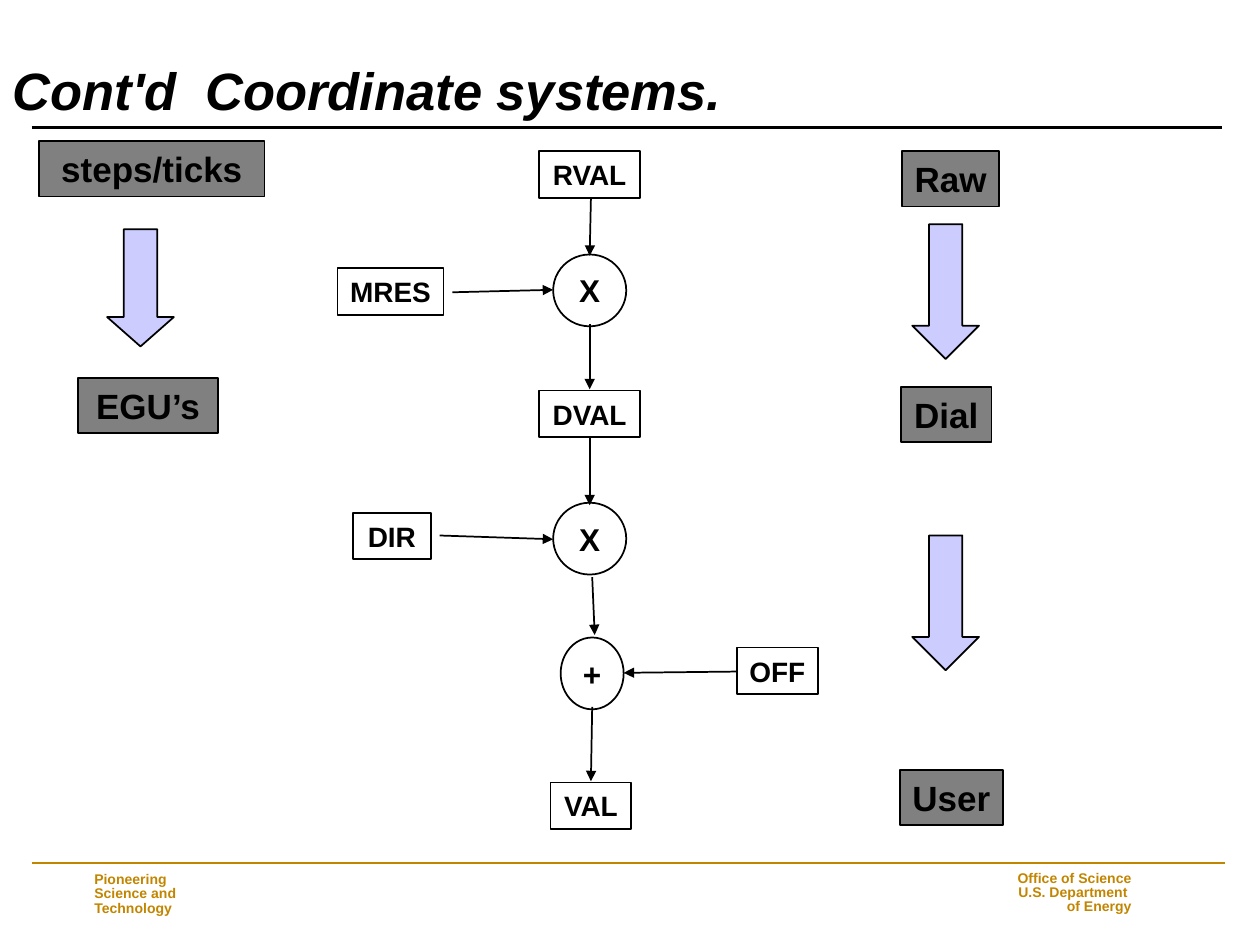
from dataclasses import dataclass

from lxml.etree import SubElement
from pptx import Presentation
from pptx.dml.color import RGBColor
from pptx.enum.shapes import MSO_CONNECTOR, MSO_SHAPE
from pptx.enum.text import MSO_ANCHOR, MSO_AUTO_SIZE, PP_ALIGN
from pptx.oxml.ns import qn
from pptx.util import Inches, Pt

# The slide is a grid of 100 columns by 75 rows
COLUMNS, ROWS = 100, 75
WIDTH, HEIGHT = Inches(10), Inches(7.5)


@dataclass(frozen=True)
class Theme:
    font: str = "Arial"
    ink: RGBColor = RGBColor(0, 0, 0)
    gold: RGBColor = RGBColor(0xC2, 0x85, 0x00)
    grey: RGBColor = RGBColor(0x80, 0x80, 0x80)
    lilac: RGBColor = RGBColor(0xCC, 0xCC, 0xFF)
    title: float = 30
    system: float = 20
    operator: float = 18
    field: float = 16
    footer: float = 8


@dataclass(frozen=True)
class Box:
    col: float
    row: float
    cols: float
    rows: float

    def emu(self) -> tuple[int, int, int, int]:
        return across(self.col), down(self.row), across(self.cols), down(self.rows)


@dataclass(frozen=True)
class Node:
    text: str
    box: Box


@dataclass(frozen=True)
class Link:
    start: tuple[float, float]
    end: tuple[float, float]


@dataclass(frozen=True)
class NodeStyle:
    preset: MSO_SHAPE
    size: float
    anchor: MSO_ANCHOR
    fill: RGBColor | None = None


THEME = Theme()
FIELD = NodeStyle(MSO_SHAPE.RECTANGLE, THEME.field, MSO_ANCHOR.MIDDLE)
OPERATOR = NodeStyle(MSO_SHAPE.OVAL, THEME.operator, MSO_ANCHOR.MIDDLE)
SYSTEM = NodeStyle(MSO_SHAPE.RECTANGLE, THEME.system, MSO_ANCHOR.TOP, THEME.grey)
FIELD_ROWS, OPERATOR_ROWS, SYSTEM_ROWS = 3.7, 5.7, 4.4

FIELDS = [
    Node("RVAL", Box(42.8, 12, 8, FIELD_ROWS)),
    Node("MRES", Box(26.8, 21.3, 8.4, FIELD_ROWS)),
    Node("DIR", Box(28, 40.7, 6.2, FIELD_ROWS)),
    Node("OFF", Box(58.5, 51.4, 6.4, FIELD_ROWS)),
    Node("DVAL", Box(42.8, 31, 8, FIELD_ROWS)),
    Node("VAL", Box(43.7, 62.1, 6.4, FIELD_ROWS)),
]
OPERATORS = [
    Node("X", Box(43.9, 20.2, 5.8, OPERATOR_ROWS)),
    Node("X", Box(43.9, 39.9, 5.8, OPERATOR_ROWS)),
    Node("+", Box(44.5, 50.6, 5, OPERATOR_ROWS)),
]
SYSTEMS = [
    Node("Raw", Box(71.6, 12, 7.7, SYSTEM_ROWS)),
    Node("Dial", Box(71.5, 30.7, 7.2, SYSTEM_ROWS)),
    Node("User", Box(71.4, 61.1, 8.2, SYSTEM_ROWS)),
    Node("EGU’s", Box(6.2, 30, 11.1, SYSTEM_ROWS)),
    Node("steps/ticks", Box(3.1, 11.2, 17.9, SYSTEM_ROWS)),
]
LINKS = [
    Link((46.9, 15.8), (46.8, 20.3)),
    Link((35.9, 23.2), (43.9, 23)),
    Link((46.8, 25.7), (46.8, 30.9)),
    Link((46.8, 34.8), (46.8, 40.1)),
    Link((34.9, 42.5), (43.9, 42.8)),
    Link((47, 45.8), (47.2, 50.4)),
    Link((58.4, 53.3), (49.5, 53.4)),
    Link((47, 56.1), (46.9, 62)),
]
# Boxes before the quarter turn, each with its head length
BLOCK_ARROWS = [
    (Box(69.7, 20.5, 10.7, 5.3), 0.5),
    (Box(69.7, 45.2, 10.7, 5.3), 0.5),
    (Box(6.5, 20.2, 9.3, 5.3), 0.44),
]


def across(cols: float) -> int:
    return round(WIDTH * cols / COLUMNS)


def down(rows: float) -> int:
    return round(HEIGHT * rows / ROWS)


def set_frame(frame, anchor: MSO_ANCHOR, wrap: bool, top: float = 0.05) -> None:
    frame.auto_size = MSO_AUTO_SIZE.NONE
    frame.word_wrap = wrap
    frame.vertical_anchor = anchor
    frame.margin_left = frame.margin_right = Inches(0.1)
    frame.margin_top, frame.margin_bottom = Inches(top), Inches(0.05)


def add_run(paragraph, text: str, size: float, color: RGBColor, italic: bool = False) -> None:
    run = paragraph.add_run()
    run.text = text
    font = run.font
    font.name, font.size, font.bold, font.italic = THEME.font, Pt(size), True, italic
    font.color.rgb = color


def add_outlined(slide, preset: MSO_SHAPE, box: Box, fill: RGBColor | None):
    shape = slide.shapes.add_shape(preset, *box.emu())
    shape.shadow.inherit = False
    if fill is None:
        shape.fill.background()
    else:
        shape.fill.solid()
        shape.fill.fore_color.rgb = fill
    shape.line.color.rgb, shape.line.width = THEME.ink, Pt(1)
    return shape


def add_node(slide, node: Node, style: NodeStyle) -> None:
    frame = add_outlined(slide, style.preset, node.box, style.fill).text_frame
    set_frame(frame, style.anchor, wrap=False)
    label = frame.paragraphs[0]
    label.alignment = PP_ALIGN.CENTER
    label.space_before = Pt(style.size * 0.625)
    add_run(label, node.text, style.size, THEME.ink)


def add_line(slide, link: Link, color: RGBColor, width: float, arrow: bool = False) -> None:
    (col1, row1), (col2, row2) = link.start, link.end
    line = slide.shapes.add_connector(
        MSO_CONNECTOR.STRAIGHT, across(col1), down(row1), across(col2), down(row2))
    line.line.color.rgb, line.line.width = color, Pt(width)
    if arrow:
        SubElement(line.line._get_or_add_ln(), qn("a:tailEnd"), type="triangle")
    SubElement(line._element.spPr, qn("a:effectLst"))


def add_block_arrow(slide, box: Box, head: float) -> None:
    arrow = add_outlined(slide, MSO_SHAPE.RIGHT_ARROW, box, THEME.lilac)
    arrow.adjustments[0], arrow.adjustments[1] = 0.5, head
    arrow.rotation = 90


def add_footer(slide, box: Box, lines: list[str], align: PP_ALIGN) -> None:
    frame = slide.shapes.add_textbox(*box.emu()).text_frame
    set_frame(frame, MSO_ANCHOR.MIDDLE, wrap=True)
    for index, text in enumerate(lines):
        paragraph = frame.add_paragraph() if index else frame.paragraphs[0]
        paragraph.alignment, paragraph.line_spacing = align, 0.85
        add_run(paragraph, text, THEME.footer, THEME.gold)


def add_title(slide, text: str, box: Box) -> None:
    title = slide.shapes.title
    title.left, title.top, title.width, title.height = box.emu()
    set_frame(title.text_frame, MSO_ANCHOR.BOTTOM, wrap=True, top=0)
    heading = title.text_frame.paragraphs[0]
    heading.alignment, heading.line_spacing = PP_ALIGN.LEFT, 0.9
    add_run(heading, text, THEME.title, THEME.ink, italic=True)


def main() -> None:
    deck = Presentation()
    deck.slide_width, deck.slide_height = WIDTH, HEIGHT
    slide = deck.slides.add_slide(deck.slide_layouts[5])

    # Title, rules and footers
    add_title(slide, "Cont'd  Coordinate systems.", Box(0, 5.2, 95.8, 5))
    add_line(slide, Link((2.5, 10.1), (97, 10.1)), THEME.ink, 1.5)
    add_line(slide, Link((2.5, 68.5), (97.2, 68.5)), THEME.gold, 1)
    add_footer(slide, Box(6.5, 68.8, 14.6, 4.4),
               ["Pioneering ", "Science and", "Technology"], PP_ALIGN.LEFT)
    add_footer(slide, Box(78.4, 68.7, 12.4, 4.4),
               ["Office of Science", " U.S. Department ", "of Energy"], PP_ALIGN.RIGHT)

    # Conversion flow and coordinate systems
    for nodes, style in ((OPERATORS, OPERATOR), (FIELDS, FIELD), (SYSTEMS, SYSTEM)):
        for node in nodes:
            add_node(slide, node, style)
    for link in LINKS:
        add_line(slide, link, THEME.ink, 1, arrow=True)
    for box, head in BLOCK_ARROWS:
        add_block_arrow(slide, box, head)

    deck.save("out.pptx")


if __name__ == "__main__":
    main()
